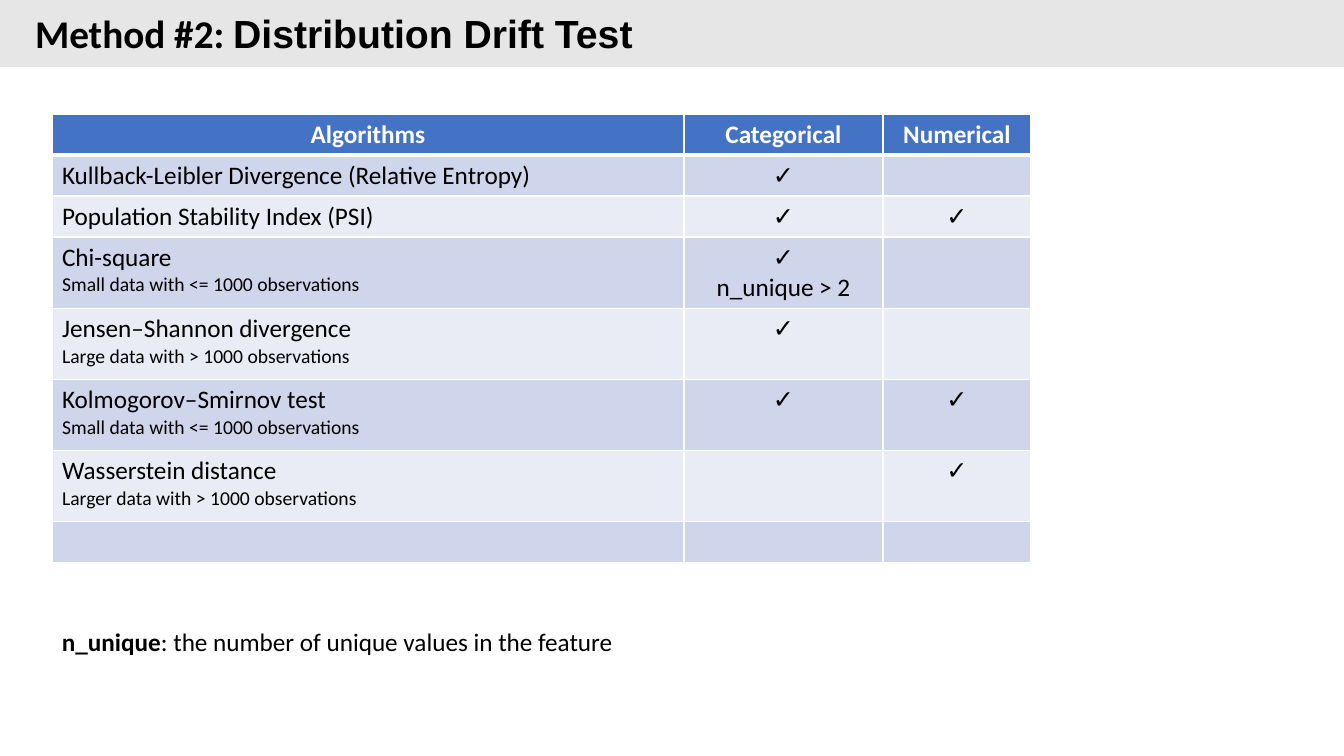
"""Build the slide that lists distribution drift tests by feature type."""

from dataclasses import dataclass

import lxml.etree
import pptx
import pptx.dml.color
import pptx.enum.shapes
import pptx.enum.text
import pptx.oxml.ns
import pptx.shapes.autoshape
import pptx.slide
import pptx.text.text
import pptx.util

RGBColor = pptx.dml.color.RGBColor
Align = pptx.enum.text.PP_ALIGN
Anchor = pptx.enum.text.MSO_ANCHOR

BLACK = RGBColor(0x00, 0x00, 0x00)
WHITE = RGBColor(0xFF, 0xFF, 0xFF)
BAND_GREY = RGBColor(0xE7, 0xE6, 0xE6)
HEADER_BLUE = RGBColor(0x44, 0x72, 0xC4)
ROW_TINTS = (RGBColor(0xCF, 0xD5, 0xEA), RGBColor(0xE9, 0xEB, 0xF5))

PX_PER_INCH = 100.8
COLUMN_WIDTHS = (632, 199, 148)
SHORT_ROW, TALL_ROW = 41, 71
CHECK = "✓"
HEADINGS = ("Algorithms", "Categorical", "Numerical")
PLAIN = {"name": "Calibri", "size": pptx.util.Pt(18), "bold": False}
SMALL = PLAIN | {"size": pptx.util.Pt(14)}
STRONG = PLAIN | {"bold": True}
TITLE = STRONG | {"size": pptx.util.Pt(28)}


@dataclass(frozen=True)
class DriftTest:
    """One table row: the test, its data size and the features it suits."""

    name: str = ""
    data_size: str = ""
    categorical: tuple[str, ...] = ()
    numerical: tuple[str, ...] = ()


DRIFT_TESTS = (
    DriftTest("Kullback-Leibler Divergence (Relative Entropy)", "", (CHECK,)),
    DriftTest("Population Stability Index (PSI)", "", (CHECK,), (CHECK,)),
    DriftTest("Chi-square", "Small data with <= 1000 observations", (CHECK, "n_unique > 2")),
    DriftTest("Jensen–Shannon divergence", "Large data with > 1000 observations", (CHECK,)),
    DriftTest("Kolmogorov–Smirnov test", "Small data with <= 1000 observations", (CHECK,), (CHECK,)),
    DriftTest("Wasserstein distance", "Larger data with > 1000 observations", (), (CHECK,)),
    DriftTest(),
)


def px(length: int) -> pptx.util.Emu:
    """Turn pixels into EMU."""
    return pptx.util.Inches(length / PX_PER_INCH)


def add_span(para: pptx.text.text._Paragraph, text: str, style: dict, color: RGBColor = BLACK) -> None:
    """Add one formatted run to a paragraph."""
    span = para.add_run()
    span.text = text
    for attribute, value in style.items():
        setattr(span.font, attribute, value)
    span.font.color.rgb = color


def write_lines(frame: pptx.text.text.TextFrame, lines: list, align: Align, color: RGBColor = BLACK) -> None:
    """Write each (text, style) pair as a paragraph."""
    for index, (text, style) in enumerate(lines):
        para = frame.add_paragraph() if index else frame.paragraphs[0]
        para.alignment = align
        add_span(para, text, style, color)


def add_borders(cell_element: lxml.etree._Element, row: int) -> None:
    """Give a cell white edges, thicker below the header row."""
    properties = cell_element.get_or_add_tcPr()
    thick_side = {0: "B", 1: "T"}.get(row)
    for side in "LRTB":
        width = pptx.util.Pt(3 if side == thick_side else 1)
        line = lxml.etree.SubElement(properties, pptx.oxml.ns.qn(f"a:ln{side}"), w=str(int(width)))
        fill = lxml.etree.SubElement(line, pptx.oxml.ns.qn("a:solidFill"))
        lxml.etree.SubElement(fill, pptx.oxml.ns.qn("a:srgbClr"), val=str(WHITE))


def add_title(page: pptx.slide.Slide) -> None:
    """Place the title over a grey band."""
    title = page.shapes.title
    title.left, title.top, title.width, title.height = map(px, (25, 4, 636, 58))
    frame = title.text_frame
    frame.word_wrap = False
    frame.auto_size = pptx.enum.text.MSO_AUTO_SIZE.NONE
    frame.vertical_anchor = Anchor.MIDDLE
    para = frame.paragraphs[0]
    para.alignment = Align.LEFT
    add_span(para, "Method #2: ", TITLE)
    add_span(para, "Distribution Drift Test", TITLE | {"name": "Arial"})

    rectangle = pptx.enum.shapes.MSO_SHAPE.RECTANGLE
    band = page.shapes.add_shape(rectangle, 0, 0, px(1344), px(67))
    band.shadow.inherit = False
    band.fill.solid()
    band.fill.fore_color.rgb = BAND_GREY
    band.line.fill.background()
    title.element.addprevious(band.element)


def add_test_table(page: pptx.slide.Slide) -> None:
    """Draw the table of drift tests."""
    heights = [SHORT_ROW] + [TALL_ROW if test.data_size else SHORT_ROW for test in DRIFT_TESTS]
    holder = page.shapes.add_table(
        len(heights), len(COLUMN_WIDTHS), px(52), px(114), px(sum(COLUMN_WIDTHS)), px(sum(heights))
    )
    table = holder.table
    for column, width in zip(table.columns, COLUMN_WIDTHS):
        column.width = px(width)
    for row, height in zip(table.rows, heights):
        row.height = px(height)

    cell_elements = holder.element.iter(pptx.oxml.ns.qn("a:tc"))
    for index, (cell, element) in enumerate(zip(table.iter_cells(), cell_elements)):
        row = index // len(COLUMN_WIDTHS)
        add_borders(element, row)
        cell.fill.solid()
        cell.fill.fore_color.rgb = ROW_TINTS[(row - 1) % 2] if row else HEADER_BLUE
        cell.vertical_anchor = Anchor.TOP

    for column, heading in enumerate(HEADINGS):
        write_lines(table.cell(0, column).text_frame, [(heading, STRONG)], Align.CENTER, WHITE)
    for row, test in enumerate(DRIFT_TESTS, start=1):
        labels = [(text, style) for text, style in ((test.name, PLAIN), (test.data_size, SMALL)) if text]
        write_lines(table.cell(row, 0).text_frame, labels, Align.LEFT)
        for column, marks in enumerate((test.categorical, test.numerical), start=1):
            write_lines(table.cell(row, column).text_frame, [(mark, PLAIN) for mark in marks], Align.CENTER)


def add_note(page: pptx.slide.Slide) -> None:
    """Explain the n_unique term below the table."""
    box = page.shapes.add_textbox(px(52), px(621), px(672), px(41))
    box.text_frame.word_wrap = True
    para = box.text_frame.paragraphs[0]
    add_span(para, "n_unique", STRONG)
    add_span(para, ": the number of unique values in the feature", PLAIN)


def main() -> None:
    """Build and save the deck."""
    deck = pptx.Presentation()
    deck.slide_width, deck.slide_height = px(1344), px(756)
    page = deck.slides.add_slide(deck.slide_layouts.get_by_name("Title Only"))
    add_title(page)
    add_test_table(page)
    add_note(page)
    deck.save("out.pptx")


if __name__ == "__main__":
    main()
